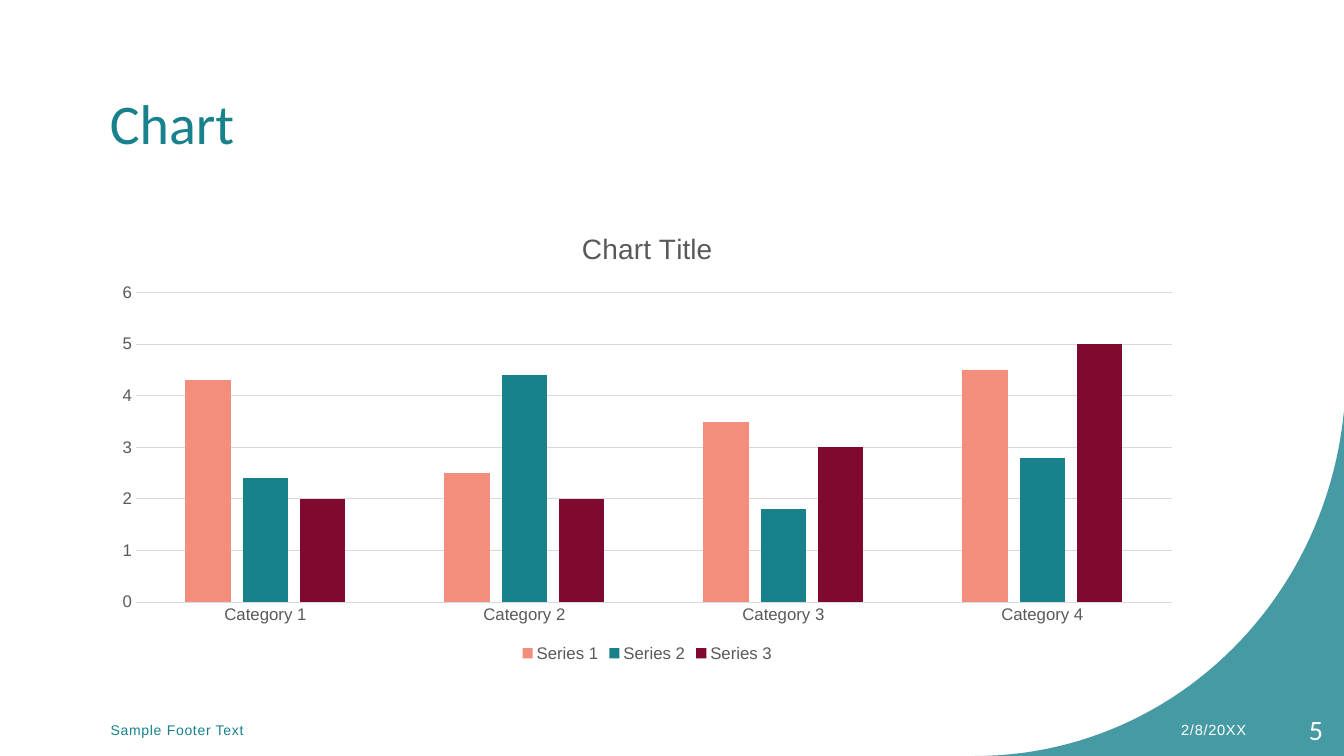
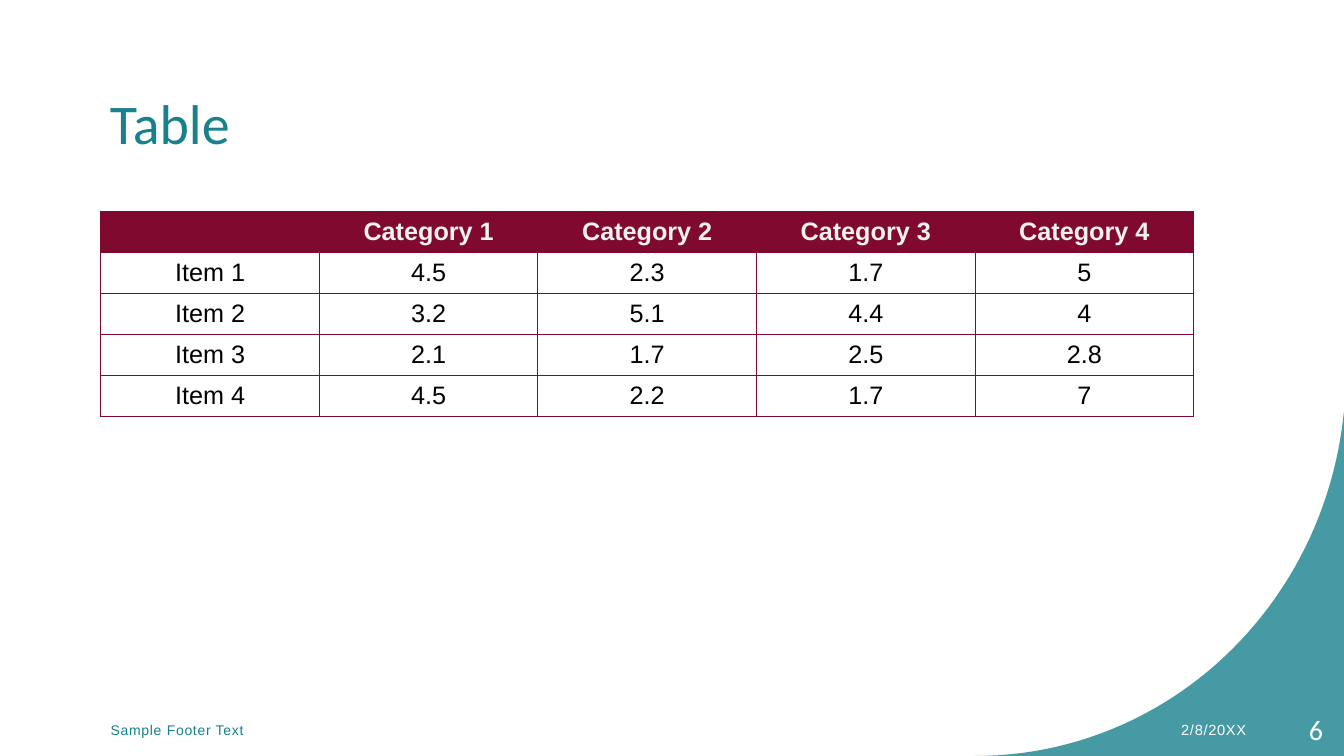
from lxml.etree import SubElement
from pptx import Presentation
from pptx.chart.data import CategoryChartData
from pptx.dml.color import RGBColor
from pptx.enum.chart import XL_CHART_TYPE as ChartType
from pptx.enum.chart import XL_LEGEND_POSITION as LegendPosition
from pptx.enum.chart import XL_TICK_MARK as TickMark
from pptx.enum.text import MSO_ANCHOR as Anchor
from pptx.enum.text import MSO_AUTO_SIZE as AutoSize
from pptx.enum.text import PP_ALIGN as Align
from pptx.oxml.ns import qn
from pptx.util import Inches, Pt

TEAL = RGBColor(0x18, 0x81, 0x8C)
CORAL = RGBColor(0xF4, 0x8E, 0x7C)
WINE = RGBColor(0x80, 0x0A, 0x2F)
CREAM = RGBColor(0xF4, 0xF2, 0xEC)
WHITE = RGBColor(0xFF, 0xFF, 0xFF)
BLACK = RGBColor(0, 0, 0)
GRAY = RGBColor(0x59, 0x59, 0x59)
GRID_GRAY = RGBColor(0xD9, 0xD9, 0xD9)
BODY_FONT, HEAD_FONT = "Arial", "Calibri"

SLIDE_WIDTH, SLIDE_HEIGHT = 13.33, 7.5
MARGIN, CONTENT_TOP, CONTENT_WIDTH = 1, 2.1, 10.84
CHART_HEIGHT, TABLE_HEIGHT = 4.51, 2.03
FOOTER_TOP, FOOTER_HEIGHT = 7.04, 0.4
TITLE_ONLY = 5
FIRST_NUMBER = 5

CATEGORIES = [f"Category {number}" for number in range(1, 5)]
SERIES = [
    ("Series 1", (4.3, 2.5, 3.5, 4.5), CORAL),
    ("Series 2", (2.4, 4.4, 1.8, 2.8), TEAL),
    ("Series 3", (2, 2, 3, 5), WINE),
]
TABLE_ROWS = [
    ["", *CATEGORIES],
    ["Item 1", "4.5", "2.3", "1.7", "5"],
    ["Item 2", "3.2", "5.1", "4.4", "4"],
    ["Item 3", "2.1", "1.7", "2.5", "2.8"],
    ["Item 4", "4.5", "2.2", "1.7", "7"],
]


def to_lengths(*values):
    """Turn inches into slide lengths."""
    return [Inches(value) for value in values]


def format_font(font, size, color, name=BODY_FONT, bold=False):
    """Set the face, size, weight and colour of a font."""
    font.name, font.size, font.bold = name, Pt(size), bold
    font.color.rgb = color


def write_text(frame, text, size, color, font=BODY_FONT, bold=False,
               align=Align.LEFT, spacing=0):
    """Write one formatted paragraph into a text frame."""
    paragraph = frame.paragraphs[0]
    paragraph.alignment = align
    run = paragraph.add_run()
    run.text = text
    format_font(run.font, size, color, font, bold)
    if spacing:
        run.font._element.set("spc", str(round(spacing * 100)))


def add_label(slide, left, width, text, size, color, **options):
    """Add a text box on the footer line."""
    shape = slide.shapes.add_textbox(*to_lengths(left, FOOTER_TOP, width, FOOTER_HEIGHT))
    frame = shape.text_frame
    frame.word_wrap = True
    frame.vertical_anchor = Anchor.MIDDLE
    write_text(frame, text, size, color, **options)


def curve_points(start, first, second, end, steps=48):
    """Return points along a cubic curve."""
    points = []
    for step in range(1, steps + 1):
        t = step / steps
        weights = ((1 - t) ** 3, 3 * t * (1 - t) ** 2, 3 * t * t * (1 - t), t ** 3)
        points.append(tuple(
            sum(weight * value for weight, value in zip(weights, values))
            for values in zip(start, first, second, end)))
    return points


def add_corner(slide):
    """Add the translucent curved corner at the bottom right."""
    start = (9.67, SLIDE_HEIGHT)
    curve = curve_points(start, (11.57, 7.5), (13.14, 6.02), (SLIDE_WIDTH, 4.08))
    outline = [*curve, (SLIDE_WIDTH, SLIDE_HEIGHT)]
    builder = slide.shapes.build_freeform(*to_lengths(*start))
    builder.add_line_segments([to_lengths(*point) for point in outline], close=True)
    shape = builder.convert_to_shape()
    shape.shadow.inherit = False
    shape.fill.solid()
    shape.fill.fore_color.rgb = TEAL
    color = next(shape.element.iter(qn("a:srgbClr")))
    SubElement(color, qn("a:alpha"), val="80000")
    shape.line.fill.background()


def add_slide(presentation, title, number):
    """Add a slide with its title, corner and footer."""
    slide = presentation.slides.add_slide(presentation.slide_layouts[TITLE_ONLY])
    add_corner(slide)
    shape = slide.shapes.title
    shape.left, shape.top, shape.width, shape.height = to_lengths(
        0.99, 0.49, CONTENT_WIDTH, 1.45)
    shape.text_frame.vertical_anchor = Anchor.MIDDLE
    shape.text_frame.auto_size = AutoSize.NONE
    write_text(shape.text_frame, title, 40, TEAL, font=HEAD_FONT)
    add_label(slide, MARGIN, 4.13, "Sample Footer Text", 10, TEAL, spacing=0.5)
    add_label(slide, 10.2, 2.26, "2/8/20XX", 10.5, WHITE, align=Align.RIGHT, spacing=0.5)
    add_label(slide, 12.46, 0.76, str(number), 20, WHITE, font=HEAD_FONT, align=Align.RIGHT)
    return slide


def format_line(line, color):
    """Make a thin line of one colour."""
    line.color.rgb = color
    line.width = Pt(0.75)


def format_axes(chart):
    """Format both axes and the gridlines."""
    for axis in (chart.category_axis, chart.value_axis):
        axis.major_tick_mark = axis.minor_tick_mark = TickMark.NONE
        format_font(axis.tick_labels.font, 12, GRAY)
    format_line(chart.category_axis.format.line, GRID_GRAY)
    values = chart.value_axis
    values.minimum_scale, values.maximum_scale, values.major_unit = 0, 6, 1
    values.format.line.fill.background()
    format_line(values.major_gridlines.format.line, GRID_GRAY)


def add_column_chart(slide):
    """Add the clustered column chart."""
    data = CategoryChartData()
    data.categories = CATEGORIES
    for name, values, _ in SERIES:
        data.add_series(name, values)
    chart = slide.shapes.add_chart(
        ChartType.COLUMN_CLUSTERED,
        *to_lengths(MARGIN, CONTENT_TOP, CONTENT_WIDTH, CHART_HEIGHT), data).chart
    format_font(chart.font, 10, BLACK)
    chart.has_title = True
    chart.chart_title.include_in_layout = False
    write_text(chart.chart_title.text_frame, "Chart Title", 20, GRAY, align=Align.CENTER)
    chart.has_legend = True
    chart.legend.position = LegendPosition.BOTTOM
    chart.legend.include_in_layout = False
    format_font(chart.legend.font, 12, GRAY)
    format_axes(chart)
    plot = chart.plots[0]
    plot.gap_width, plot.overlap, plot.vary_by_categories = 219, -27, False
    for series, (_, _, color) in zip(plot.series, SERIES):
        series.format.fill.solid()
        series.format.fill.fore_color.rgb = color
        series.invert_if_negative = False


def add_borders(cell, color):
    """Draw thin lines on the four sides of a cell."""
    properties = cell._tc.get_or_add_tcPr()
    for side in ("a:lnL", "a:lnR", "a:lnT", "a:lnB"):
        line = SubElement(properties, qn(side), w=str(Pt(0.75)))
        fill = SubElement(line, qn("a:solidFill"))
        SubElement(fill, qn("a:srgbClr"), val=str(color))


def format_cell(cell, text, is_header):
    """Fill one table cell with its text, borders and background."""
    add_borders(cell, WINE)
    cell.vertical_anchor = Anchor.MIDDLE
    if is_header:
        cell.fill.solid()
        cell.fill.fore_color.rgb = WINE
    else:
        cell.fill.background()
    if text:
        write_text(cell.text_frame, text, 18, CREAM if is_header else BLACK,
                   bold=is_header, align=Align.CENTER)


def add_data_table(slide):
    """Add the table of items and categories."""
    table = slide.shapes.add_table(
        len(TABLE_ROWS), len(TABLE_ROWS[0]),
        *to_lengths(MARGIN, CONTENT_TOP, CONTENT_WIDTH, TABLE_HEIGHT)).table
    table.horz_banding = False
    for row_index, row in enumerate(TABLE_ROWS):
        for column_index, text in enumerate(row):
            format_cell(table.cell(row_index, column_index), text, row_index == 0)


def main():
    """Build and save the presentation."""
    presentation = Presentation()
    presentation.slide_width = Inches(SLIDE_WIDTH)
    presentation.slide_height = Inches(SLIDE_HEIGHT)
    contents = [("Chart", add_column_chart), ("Table", add_data_table)]
    for number, (title, add_content) in enumerate(contents, FIRST_NUMBER):
        add_content(add_slide(presentation, title, number))
    presentation.save("out.pptx")


if __name__ == "__main__":
    main()
